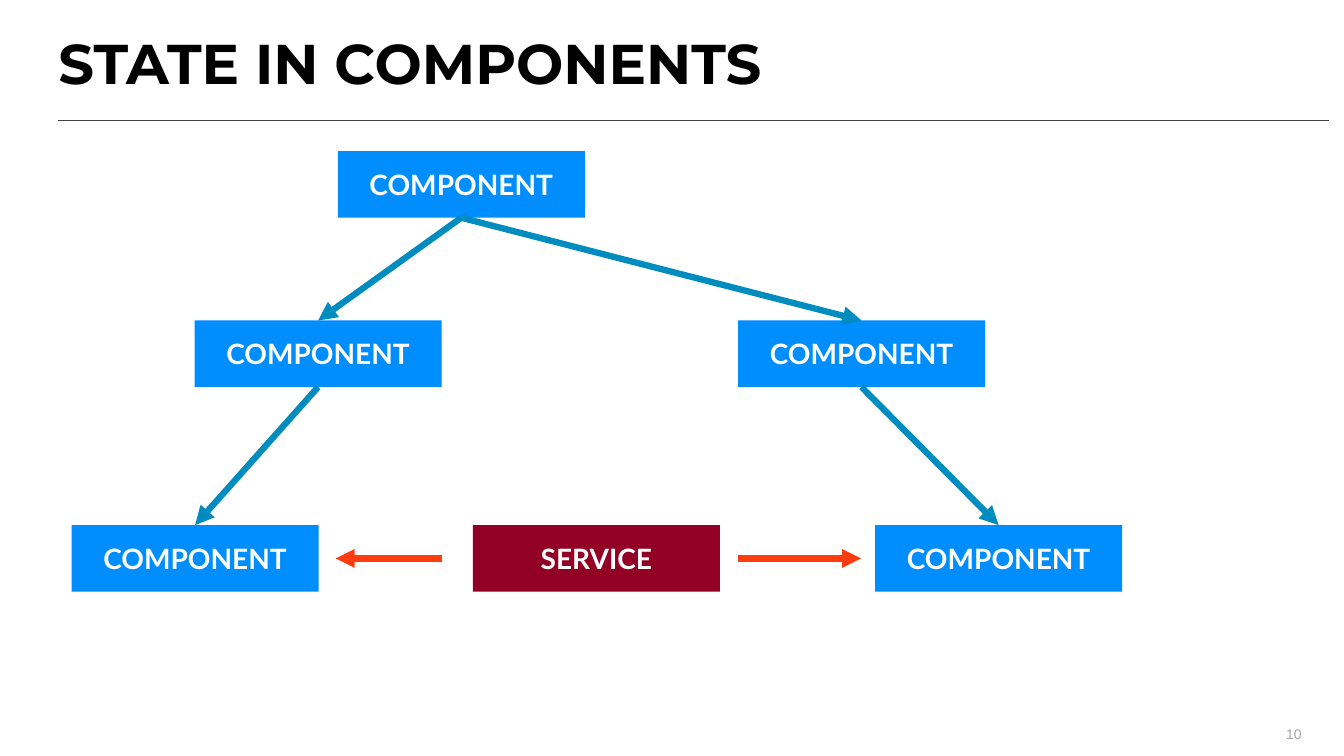
"""Build a slide that shows a component tree fed by a shared service."""
from lxml import etree
from pptx import Presentation
from pptx.dml import color
from pptx.enum import shapes, text
from pptx.oxml import ns
from pptx.util import Inches, Pt

BOX_WIDTH, BOX_HEIGHT = 2.45, 0.66
TOP_ROW, MIDDLE_ROW, BOTTOM_ROW = 1.5, 3.18, 5.21
TOP_SITE, BOTTOM_SITE = 0, 2
BLUE, TEAL, RED, ORANGE = "008EFF", "008CBF", "920026", "FF3C0F"


def rgb(value):
    """Return the colour for a hex string."""
    return color.RGBColor.from_string(value)


def set_text(shape, words, font, size, hue, align, bold=False):
    """Write one styled paragraph into a shape and return it."""
    shape.text_frame.word_wrap = True
    para = shape.text_frame.paragraphs[0]
    para.text = words
    para.alignment = align
    para.font.name = font
    para.font.size = Pt(size)
    para.font.bold = bold
    para.font.color.rgb = rgb(hue)
    return para


def add_label(page, left, top, width, height, inset_top=0):
    """Add a text box whose only inset is at the top."""
    box = page.shapes.add_textbox(*map(Inches, (left, top, width, height)))
    frame = box.text_frame
    frame.margin_left = frame.margin_right = frame.margin_bottom = 0
    frame.margin_top = Inches(inset_top)
    return box


def add_node(page, left, top, words="COMPONENT", fill=BLUE):
    """Add a filled box with a centred caption."""
    node = page.shapes.add_shape(
        shapes.MSO_SHAPE.RECTANGLE,
        *map(Inches, (left, top, BOX_WIDTH, BOX_HEIGHT)))
    node.shadow.inherit = False
    node.fill.solid()
    node.fill.fore_color.rgb = rgb(fill)
    node.line.fill.background()
    node.text_frame.vertical_anchor = text.MSO_ANCHOR.MIDDLE
    set_text(node, words, "Lato", 20, "FFFFFF", text.PP_ALIGN.CENTER, True)
    return node


def add_line(page, start, end, hue, width):
    """Add a straight line without a shadow."""
    line = page.shapes.add_connector(
        shapes.MSO_CONNECTOR.STRAIGHT, *map(Inches, (*start, *end)))
    line.line.color.rgb = rgb(hue)
    line.line.width = Pt(width)
    etree.SubElement(line.element.spPr, ns.qn("a:effectLst"))
    return line


def add_arrow(page, start, end, hue):
    """Add a thick line with a triangle at its end."""
    arrow = add_line(page, start, end, hue, 4.5)
    outline = arrow.line._get_or_add_ln()
    etree.SubElement(outline, ns.qn("a:tailEnd"), type="triangle")
    return arrow


def link(page, parent, child):
    """Join the bottom of a parent to the top of its child."""
    arrow = add_arrow(page, (0, 0), (1, 1), TEAL)
    arrow.begin_connect(parent, BOTTOM_SITE)
    arrow.end_connect(child, TOP_SITE)


def main():
    """Build and save the deck."""
    deck = Presentation()
    deck.slide_width, deck.slide_height = Inches(13.33), Inches(7.5)
    page = deck.slides.add_slide(deck.slide_layouts[6])

    add_line(page, (0.58, 1.19), (13.18, 1.19), "404040", 0.5)
    number = add_label(page, 12.58, 7.13, 0.33, 0.23)
    number.text_frame.vertical_anchor = text.MSO_ANCHOR.BOTTOM
    set_text(number, "10", "Arial", 10, "A6A6A6", text.PP_ALIGN.RIGHT)
    title = add_label(page, 0.58, 0.42, 11.62, 0.77, 0.05)
    heading = set_text(title, "STATE IN COMPONENTS", "Montserrat", 40,
                       "000000", text.PP_ALIGN.LEFT, True)
    heading.line_spacing = 0.7

    root = add_node(page, 3.35, TOP_ROW)
    for middle_left, bottom_left in ((1.93, 0.71), (7.32, 8.68)):
        branch = add_node(page, middle_left, MIDDLE_ROW)
        leaf = add_node(page, bottom_left, BOTTOM_ROW)
        link(page, root, branch)
        link(page, branch, leaf)

    add_node(page, 4.69, BOTTOM_ROW, "SERVICE", RED)
    service_middle = BOTTOM_ROW + BOX_HEIGHT / 2
    for start, end in ((7.32, 8.54), (4.38, 3.33)):
        add_arrow(page, (start, service_middle), (end, service_middle), ORANGE)

    deck.save("out.pptx")


if __name__ == "__main__":
    main()
